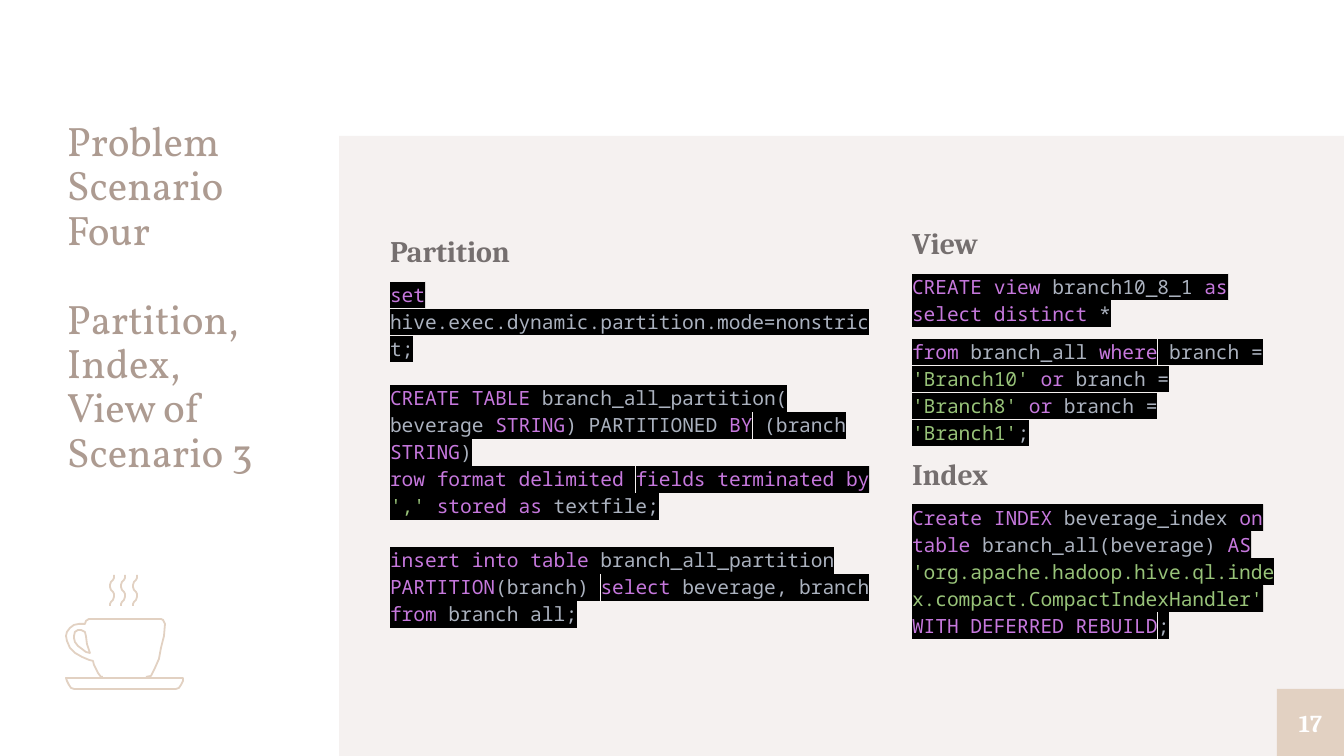
from dataclasses import dataclass
from itertools import groupby

from lxml import etree
from pptx import Presentation
from pptx import util as u
from pptx.dml.color import RGBColor
from pptx.enum import shapes, text
from pptx.oxml.ns import qn


@dataclass(frozen=True)
class Theme:
    panel: str = "F5F1F0"
    accent: str = "E2D1C2"
    title: str = "AD9B91"
    heading: str = "756F6F"
    keyword: str = "C678DD"
    plain: str = "ABB2BF"
    string: str = "98C379"
    code_back: str = "000000"
    badge_text: str = "FFFFFF"
    title_font: str = "Vollkorn"
    body_font: str = "Cambria"
    code_font: str = "Noto Sans Mono"
    title_size: float = 22
    heading_size: float = 16
    code_size: float = 10.5
    badge_size: float = 13
    stroke: float = 0.96


THEME = Theme()
PX = 914400 / 134.4
WIDTH, HEIGHT = 1344, 756

PANEL = (339, 136, 1005, 620)
BADGE = (1277, 689, 67, 67)
PAGE = "17"

TITLE_BOX = (67, 121, 239, 568)
TITLE = [
    ("Problem Scenario\nFour", 0),
    ("Partition,\nIndex,\nView of Scenario 3", 24),
]

SECTIONS = [
    ("Partition", (390, 227, 488, 460), [
        ("set hive.exec.dynamic.partition.mode=nonstrict;", 6),
        ("CREATE TABLE branch_all_partition(\n"
         "beverage STRING) PARTITIONED BY (branch STRING)\n"
         "row format delimited fields terminated by ',' stored as textfile;", 12),
        ("insert into table branch_all_partition PARTITION(branch) "
         "select beverage, branch from branch all;", 14.5),
    ]),
    ("Index", (912, 450, 364, 238), [
        ("Create INDEX beverage_index on table branch_all(beverage) AS "
         "'org.apache.hadoop.hive.ql.index.compact.CompactIndexHandler' "
         "WITH DEFERRED REBUILD;", 6),
    ]),
    ("View", (912, 219, 364, 238), [
        ("CREATE view branch10_8_1 as select distinct *", 6),
        ("from branch_all where branch = 'Branch10' or branch = 'Branch8' "
         "or branch = 'Branch1';", 6),
    ]),
]
KEYWORDS = set(
    "set CREATE Create TABLE table STRING BY by row format delimited fields "
    "terminated stored as AS insert into PARTITION select from INDEX on WITH "
    "DEFERRED REBUILD view distinct where or".split()
)

CUP = [(146, 677), (151, 676), (155, 668), (159, 659), (161, 648), (164, 636),
       (165, 624), (163, 620), (161, 619), (89, 619), (86, 621), (85, 624),
       (79, 624), (74, 625), (70, 628), (67, 632), (66, 636), (67, 641),
       (70, 648), (75, 653), (82, 657), (89, 660), (93, 661), (94, 665),
       (98, 673), (101, 677), (103, 677)]
HANDLE = [(74, 636), (75, 632), (78, 630), (81, 630), (85, 632), (86, 636),
          (87, 644), (90, 653), (86, 652), (82, 649), (78, 646), (75, 642),
          (74, 638)]
SAUCER = [(176, 689), (74, 689), (71, 688), (69, 685), (67, 681), (66, 678),
          (183, 678), (183, 681), (181, 685), (179, 688)]
WISP = [(4, 0), (4, 3), (3, 5), (1, 7), (0, 10), (0, 12), (1, 15), (3, 17),
        (4, 19), (4, 22), (3, 25), (1, 27), (0, 29), (0, 31)]
WISP_LEFTS, WISP_TOP = (110, 121, 133), 575


def emu(lengths):
    return [u.Emu(round(length * PX)) for length in lengths]


def rgb(colour):
    return RGBColor.from_string(colour)


def add_block(slide, box, fill):
    block = slide.shapes.add_shape(shapes.MSO_SHAPE.RECTANGLE, *emu(box))
    block.shadow.inherit = False
    block.fill.solid()
    block.fill.fore_color.rgb = rgb(fill)
    block.line.fill.background()
    return block


def clear_margins(frame):
    frame.word_wrap = True
    frame.margin_left = frame.margin_right = frame.margin_top = frame.margin_bottom = 0
    return frame


def add_text_frame(slide, box):
    return clear_margins(slide.shapes.add_textbox(*emu(box)).text_frame)


def next_paragraph(frame):
    first = frame.paragraphs[0]
    return frame.add_paragraph() if first.runs else first


def style(paragraph, font, size, colour=None, bold=False, spacing=1.0, before=0):
    paragraph.font.name = font
    paragraph.font.size = u.Pt(size)
    paragraph.font.bold = bold
    if colour:
        paragraph.font.color.rgb = rgb(colour)
    paragraph.line_spacing = spacing
    paragraph.space_before = u.Pt(before)


def code_tokens(line):
    for i, part in enumerate(line.split("'")):
        if i % 2:
            yield THEME.string, f"'{part}'"
            continue
        for _, chars in groupby(part, lambda c: c.isalnum() or c == "_"):
            word = "".join(chars)
            yield (THEME.keyword if word in KEYWORDS else THEME.plain), word


def add_code(paragraph, code):
    for i, line in enumerate(code.split("\n")):
        if i:
            paragraph.add_line_break()
        for colour, tokens in groupby(code_tokens(line), lambda token: token[0]):
            run = paragraph.add_run()
            run.text = "".join(word for _, word in tokens)
            run.font.color.rgb = rgb(colour)
            highlight = etree.SubElement(run.font._element, qn("a:highlight"))
            etree.SubElement(highlight, qn("a:srgbClr"), val=THEME.code_back)


def add_section(slide, heading, box, snippets):
    frame = add_text_frame(slide, box)
    top = next_paragraph(frame)
    top.text = heading
    style(top, THEME.body_font, THEME.heading_size, THEME.heading, True, 1.15)
    for code, before in snippets:
        paragraph = next_paragraph(frame)
        style(paragraph, THEME.code_font, THEME.code_size, spacing=1.15, before=before)
        add_code(paragraph, code)


def add_stroke(group, points, close=False):
    builder = group.shapes.build_freeform(*points[0], scale=PX)
    builder.add_line_segments(points[1:], close=close)
    stroke = builder.convert_to_shape()
    stroke.shadow.inherit = False
    stroke.fill.background()
    stroke.line.color.rgb = rgb(THEME.accent)
    stroke.line.width = u.Pt(THEME.stroke)


def main():
    deck = Presentation()
    deck.slide_width, deck.slide_height = emu((WIDTH, HEIGHT))
    slide = deck.slides.add_slide(deck.slide_layouts[6])
    add_block(slide, PANEL, THEME.panel)

    title = add_text_frame(slide, TITLE_BOX)
    for words, before in TITLE:
        paragraph = next_paragraph(title)
        paragraph.text = words.replace("\n", "\v")
        style(paragraph, THEME.title_font, THEME.title_size, THEME.title,
              spacing=0.9, before=before)

    for section in SECTIONS:
        add_section(slide, *section)

    badge = clear_margins(add_block(slide, BADGE, THEME.accent).text_frame)
    badge.vertical_anchor = text.MSO_ANCHOR.MIDDLE
    number = badge.paragraphs[0]
    number.text = PAGE
    number.alignment = text.PP_ALIGN.CENTER
    style(number, THEME.body_font, THEME.badge_size, THEME.badge_text, True)

    coffee = slide.shapes.add_group_shape()
    add_stroke(coffee, CUP)
    add_stroke(coffee, HANDLE, close=True)
    add_stroke(coffee, SAUCER, close=True)
    for left in WISP_LEFTS:
        add_stroke(coffee, [(left + x, WISP_TOP + y) for x, y in WISP])

    deck.save("out.pptx")


if __name__ == "__main__":
    main()
